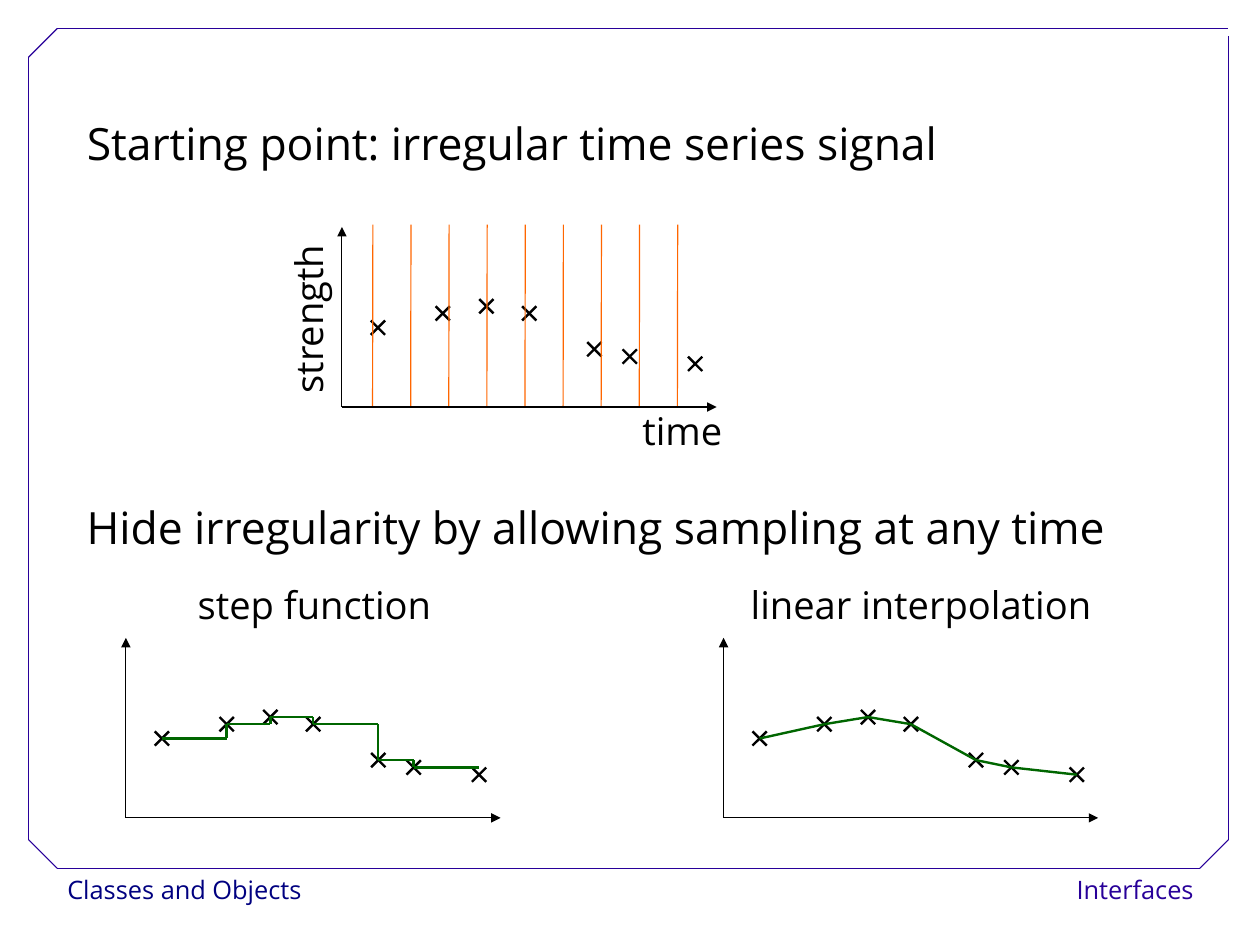
from dataclasses import dataclass
from itertools import pairwise

from lxml.etree import SubElement as Sub
from pptx import Presentation
from pptx.dml.color import RGBColor as Rgb
from pptx.enum.shapes import MSO_CONNECTOR as Conn
from pptx.enum.text import MSO_ANCHOR as Anchor, MSO_AUTO_SIZE as Auto, PP_ALIGN as Align
from pptx.oxml.ns import qn
from pptx.util import Pt


@dataclass(frozen=True)
class Theme:
    font: str = "Open Sans"
    black: str = "000000"
    white: str = "FFFFFF"
    navy: str = "000080"
    violet: str = "280099"
    green: str = "006600"
    orange: str = "FF6600"
    head: int = 28
    label: int = 24
    foot: int = 16
    thin: float = 0.75
    thick: float = 1.5


THEME = Theme()

# Samples as (time, strength), in points from the origin of the axes
SAMPLES = [(22.7, 50), (63.5, 59), (91, 63.5), (118, 59),
           (159, 36.4), (181.3, 31.8), (222.5, 27.2)]


# Basic parts
def line(slide, start, end, color, width, arrow=False):
    ends = [Pt(v) for v in (*start, *end)]
    item = slide.shapes.add_connector(Conn.STRAIGHT, *ends)
    item.line.color.rgb = Rgb.from_string(color)
    item.line.width = Pt(width)
    if arrow:
        Sub(item.line._get_or_add_ln(), qn("a:tailEnd"), type="triangle")
    Sub(item._element.spPr, qn("a:effectLst"))


def chain(slide, points, color, width):
    for start, end in pairwise(points):
        line(slide, start, end, color, width)


def style(shape, text, size, color, space, align=Align.LEFT, wrap=False):
    frame = shape.text_frame
    frame.text = text
    frame.word_wrap = wrap
    frame.auto_size = Auto.NONE
    frame.vertical_anchor = Anchor.TOP
    para = frame.paragraphs[0]
    para.alignment = align
    para.line_spacing = space
    font = para.runs[0].font
    font.name = THEME.font
    font.size = Pt(size)
    font.color.rgb = Rgb.from_string(color)


def label(slide, box, text, size=THEME.label, color=THEME.black,
          space=0.93, **more):
    shape = slide.shapes.add_textbox(*[Pt(v) for v in box])
    style(shape, text, size, color, space, **more)
    return shape


# Page border and footer
def border(slide, box):
    left, top, width, height = box
    right, base, cut = left + width, top + height, 18
    for x, wide, text, color, align in (
            (35.3, 154.8, "Classes and Objects", THEME.navy, Align.LEFT),
            (658, 101, "Interfaces", THEME.violet, Align.RIGHT)):
        foot = label(slide, (x, base, wide, 28.8), text, THEME.foot, color,
                     1.02, align=align)
        foot.fill.solid()
        foot.fill.fore_color.rgb = Rgb.from_string(THEME.white)
    points = [(right, top + 5), (right, base - cut), (right - cut, base),
              (left + cut, base), (left, base - cut), (left, top + cut),
              (left + cut, top), (right, top)]
    chain(slide, points, THEME.violet, THEME.thin)


# Two axes with a cross at each sample; gives back the sample places
def plot(slide, box):
    left, top, width, height = box
    base = top + height
    for end in ((left + width, base), (left, top)):
        line(slide, (left, base), end, THEME.black, THEME.thin, arrow=True)
    places = [(left + x, base - y) for x, y in SAMPLES]
    arm = 4.5
    for x, y in places:
        for rise in (arm, -arm):
            line(slide, (x - arm, y - rise), (x + arm, y + rise),
                 THEME.black, THEME.thick)
    return places


# Irregular signal with an even time grid
def signal(slide, box):
    left, top, width, height = box
    base, lean = top + height, 0.2
    plot(slide, box)
    label(slide, (left + 182.2, base - 1, 64.8, 33.8), "time")
    side = label(slide, (left - 75.3, top + 39.6, 110.9, 33.8), "strength")
    side.rotation = 270
    for n in range(9):
        x = left + 19.3 + 24 * n
        line(slide, (x, base - 0.7), (x + lean, top - 1.5),
             THEME.orange, THEME.thin)


# Each value held until the next sample
def steps(slide, box):
    left, top = box[:2]
    places = plot(slide, box)
    label(slide, (left + 38.2, top - 36.3, 162.7, 33.8), "step function")
    points = places[:1]
    for (_, old), (x, new) in pairwise(places):
        points += [(x, old), (x, new)]
    chain(slide, points[:-1], THEME.green, THEME.thick)


# Samples joined by straight lines
def linear(slide, box):
    left, top = box[:2]
    places = plot(slide, box)
    label(slide, (left + 10, top - 36.3, 231.1, 33.8), "linear interpolation")
    chain(slide, places, THEME.green, THEME.thick)


# Title and second heading
def heads(slide, box):
    left, top, width, height = box
    title = slide.shapes.title
    title.left, title.top, title.width, title.height = [Pt(v) for v in box]
    style(title, "Starting point: irregular time series signal",
          THEME.head, THEME.black, 1.5, wrap=True)
    label(slide, (left, top + 242, width, height),
          "Hide irregularity by allowing sampling at any time",
          THEME.head, space=1.5, wrap=True)


def main():
    deck = Presentation()
    # A sheet of 28 by 21 cm
    deck.slide_width, deck.slide_height = Pt(793.7), Pt(595.28)
    slide = deck.slides.add_slide(deck.slide_layouts[5])
    border(slide, (18, 18, 755.8, 529))
    heads(slide, (47.5, 52.5, 680.4, 57.6))
    wide, high = 236, 113.4
    signal(slide, (215.4, 143, wide, high))
    steps(slide, (79.3, 401.8, wide, high))
    linear(slide, (455.8, 401.8, wide, high))
    deck.save("out.pptx")


if __name__ == "__main__":
    main()
